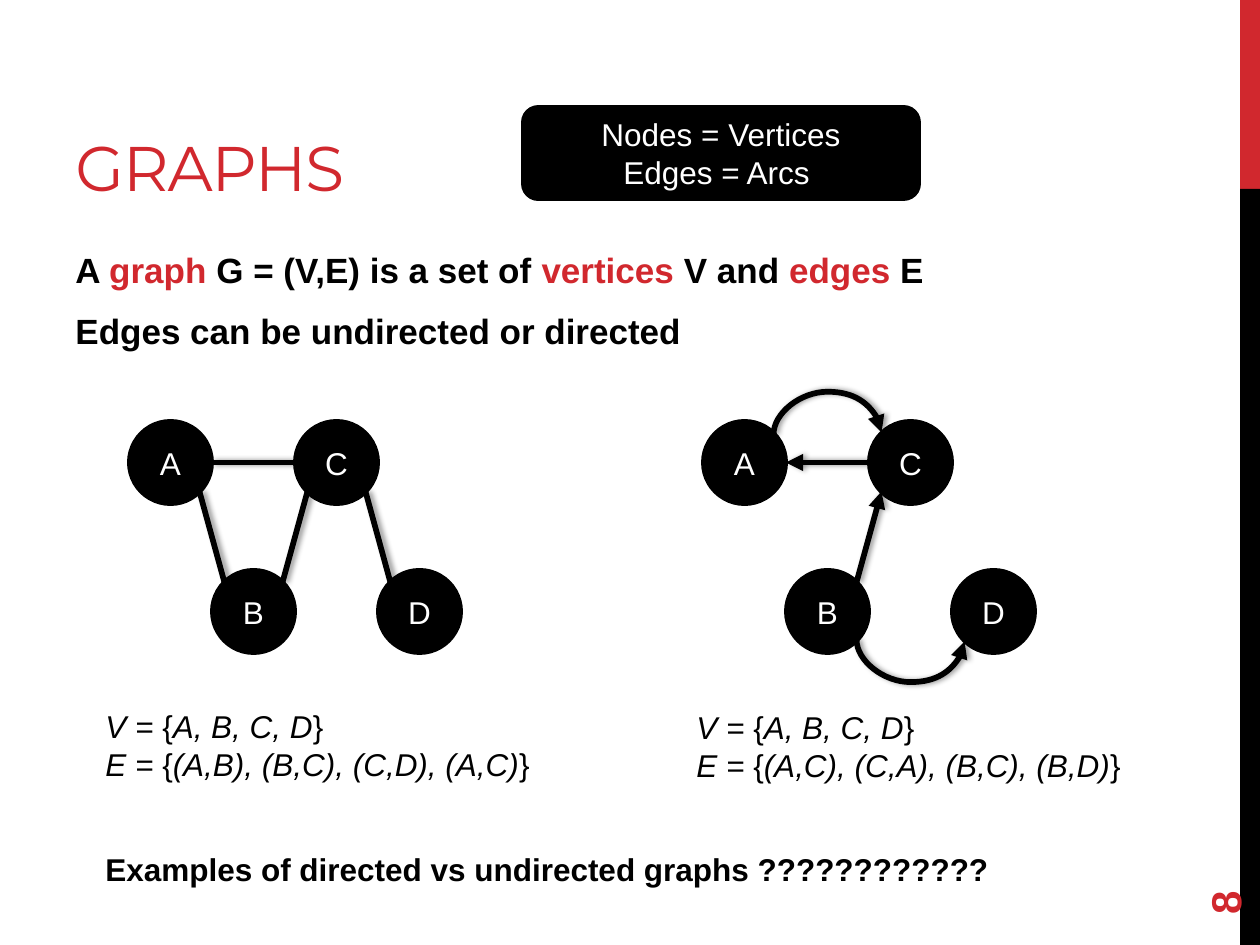
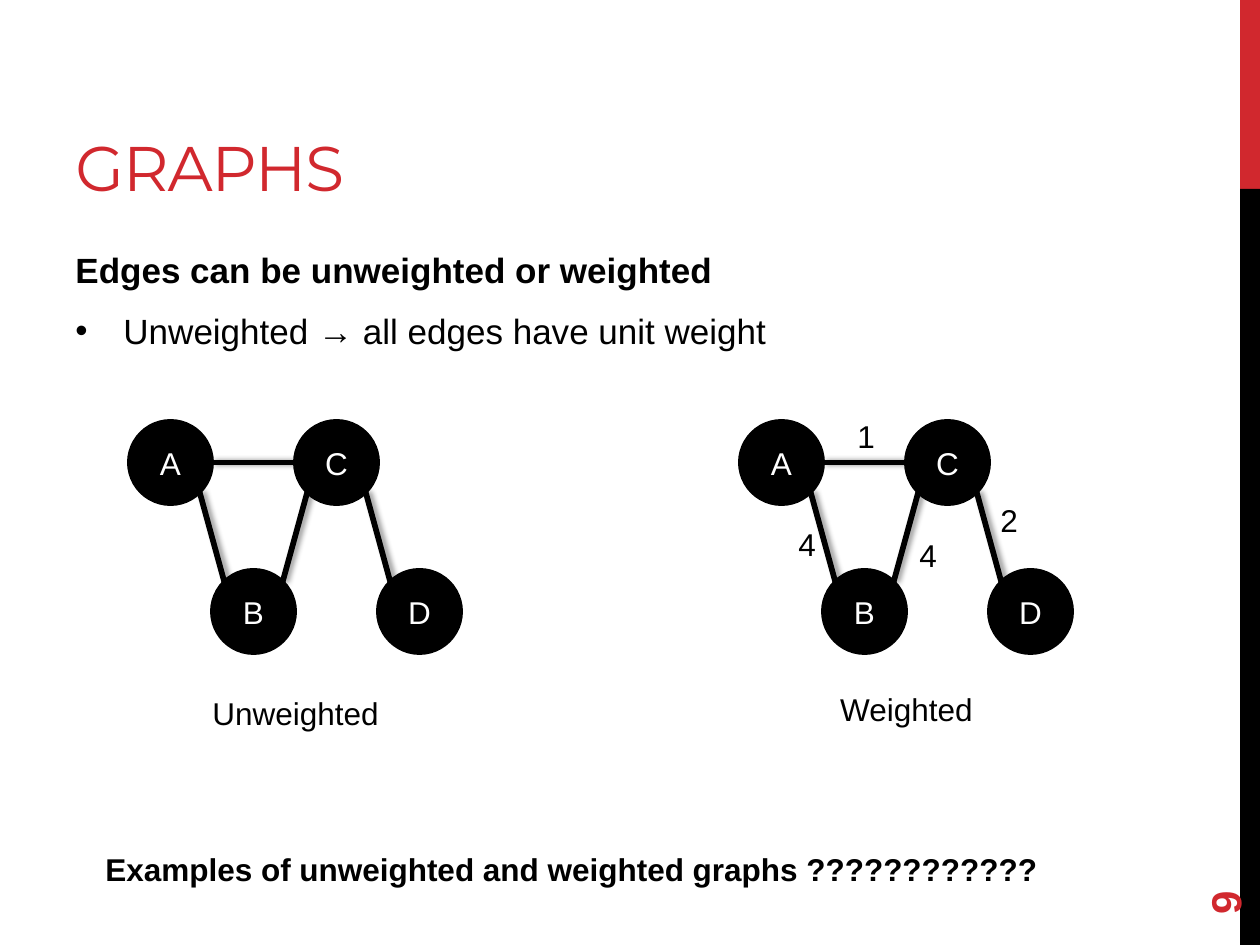
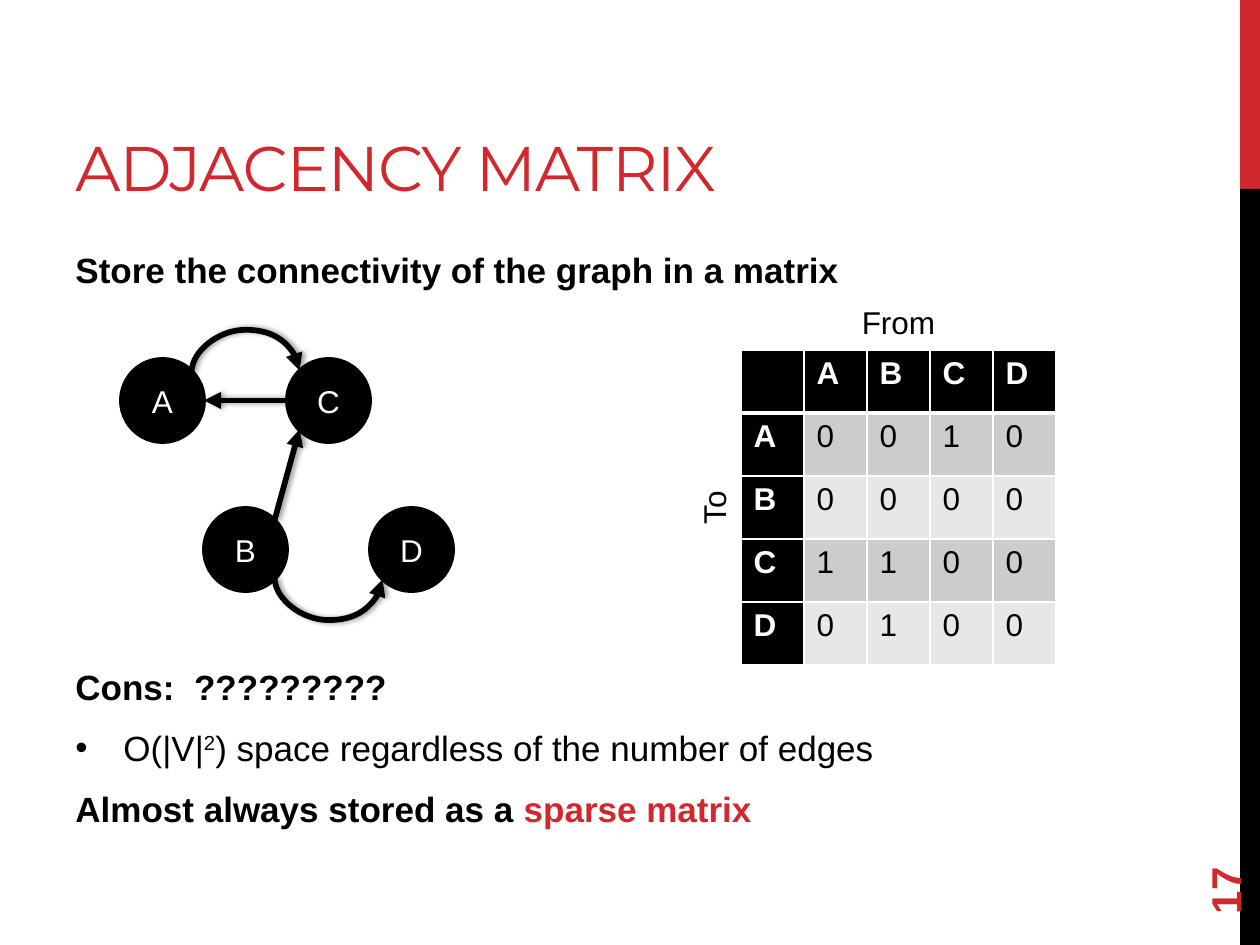
import pptx
import pptx.dml.color
import pptx.enum.shapes
import pptx.enum.text
import pptx.oxml
import pptx.oxml.ns
import pptx.util

Pt = pptx.util.Pt
qn = pptx.oxml.ns.qn
KIND = pptx.enum.shapes.MSO_SHAPE
LINK = pptx.enum.shapes.MSO_CONNECTOR
ALIGN = pptx.enum.text.PP_ALIGN
ANCHOR = pptx.enum.text.MSO_ANCHOR
NS = 'xmlns:a="http://schemas.openxmlformats.org/drawingml/2006/main"'

INK = {"red": "D1282E", "black": "000000", "white": "FFFFFF",
       "dark": "CCCCCC", "pale": "E7E7E7"}

# Content: a paragraph is a list of (text, marks)
# marks: b bold, i italic, r red, ^ superscript, * bullet on the paragraph
ASK = "????????????"


def sets(edges):
    return [[("V = ", "i"), ("{", ""), ("A, B, C, D", "i"), ("}", "")],
            [("E = ", "i"), ("{", ""), (edges, "i"), ("}", "")]]


PAGES = [
    {"title": "GRAPHS", "num": "8",
     "body": [(242, 602, [
         [("A ", "b"), ("graph", "br"), (" G = (V,E) is a set of ", "b"),
          ("vertices", "br"), (" V and ", "b"), ("edges", "br"), (" E", "b")],
         [("Edges can be undirected or directed", "b")]])],
     "graphs": [("plain", 129, 421), ("arrow", 703, 421)],
     "notes": [((93, 701, 655, 89), sets("(A,B), (B,C), (C,D), (A,C)")),
               ((684, 702, 655, 89), sets("(A,C), (C,A), (B,C), (B,D)"))],
     "ask": "Examples of directed vs undirected graphs " + ASK,
     "box": [[("Nodes = Vertices", "")], [("Edges = Arcs ", "")]]},
    {"title": "GRAPHS", "num": "9",
     "body": [(242, 602, [
         [("Edges can be unweighted or weighted", "b")],
         [("Unweighted → all edges have unit weight", "*")]])],
     "graphs": [("plain", 129, 421), ("plain", 740, 421)],
     "labels": [("Unweighted", 129, 688, 333, 0), ("Weighted", 740, 684, 333, 0),
                ("1", 845, 411, 37, 0), ("2", 988, 495, 37, 0),
                ("4", 907, 530, 37, 0), ("4", 786, 519, 37, 0)],
     "ask": "Examples of unweighted and weighted graphs " + ASK},
    {"title": "ADJACENCY MATRIX", "num": "17",
     "body": [
         (242, 60, [[("Store the connectivity of the graph in a matrix", "b")]]),
         (659, 185, [
             [("Cons:  ?????????", "b")],
             [("O(|V|", "*"), ("2", "^"),
              (") space regardless of the number of edges", "")],
             [("Almost always stored as a ", "b"), ("sparse matrix", "br")]])],
     "graphs": [("arrow", 121, 359)],
     "matrix": ["0010", "0000", "1100", "0100"],
     "labels": [("From", 741, 297, 315, 0), ("To", 556, 483, 315, -90)]},
]

# Graph layout: nodes sit on a grid of (column, row)
SIZE, ROW, DIAG = 83, 149, 29
SPOTS = {"C": (2, 0), "B": (1, 1), "D": (3, 1), "A": (0, 0)}
SITES = {"E": (SIZE / 2, 0), "W": (-SIZE / 2, 0), "NE": (DIAG, -DIAG),
         "NW": (-DIAG, -DIAG), "SE": (DIAG, DIAG), "SW": (-DIAG, DIAG)}
EDGES = {"plain": [("A", "E", "C", "W"), ("A", "SE", "B", "NW"),
                   ("B", "NE", "C", "SW"), ("D", "NW", "C", "SE")],
         "arrow": [("C", "W", "A", "E"), ("B", "NE", "C", "SW")]}
ARCS = {"plain": [], "arrow": [("A", "C", 1), ("B", "D", -1)]}  # 1 up, -1 down
BULGE = 43


def px(n):
    return round(n * 914400 / 126)


def tint(name):
    return pptx.dml.color.RGBColor.from_string(INK[name])


def node(text):
    return pptx.oxml.parse_xml(text)


# Text
def style(run, size, color, marks="", face="Arial"):
    font = run.font
    font.size, font.name = Pt(size), face
    font.bold, font.italic = "b" in marks, "i" in marks
    font.color.rgb = tint("red" if "r" in marks else color)
    if "^" in marks:
        font._element.set("baseline", "30000")


def write(frame, paras, size, color="black", align=ALIGN.LEFT, gap=False, face="Arial"):
    frame.word_wrap = True
    for i, runs in enumerate(paras):
        para = frame.paragraphs[0] if i == 0 else frame.add_paragraph()
        para.alignment = align
        if gap:
            para.space_after = Pt(6)
            if i:
                para.space_before = Pt(5)
        if "*" in runs[0][1]:
            prop = para._p.get_or_add_pPr()
            prop.set("marL", str(px(48)))
            prop.set("indent", str(px(-48)))
            prop.append(node(f'<a:buFont {NS} typeface="Arial"/>'))
            prop.append(node(f'<a:buChar {NS} char="•"/>'))
        for text, marks in runs:
            run = para.add_run()
            run.text = text
            style(run, size, color, marks, face)


def note(slide, box, paras, size=18, anchor=ANCHOR.TOP, turn=0, **look):
    item = slide.shapes.add_textbox(*map(px, box))
    item.rotation = turn
    item.text_frame.vertical_anchor = anchor
    write(item.text_frame, paras, size, **look)
    return item


# Shapes
def solid(shapes, kind, box, color="black", edge=True, paras=()):
    item = shapes.add_shape(kind, *map(px, box))
    item.shadow.inherit = False
    item.fill.solid()
    item.fill.fore_color.rgb = tint(color)
    if edge:
        item.line.color.rgb = tint(color)
        item.line.width = Pt(2.25)
    else:
        item.line.fill.background()
    item.text_frame.vertical_anchor = ANCHOR.MIDDLE
    write(item.text_frame, paras, 18, "white", ALIGN.CENTER)


def join(shapes, kind, ends, arrow):
    line = shapes.add_connector(kind, *map(px, ends))
    line.line.color.rgb = tint("black")
    line.line.width = Pt(3.25)
    if arrow:
        line.line._get_or_add_ln().append(node(f'<a:tailEnd {NS} type="triangle"/>'))
    line._element.spPr.append(node(
        f'<a:effectLst {NS}><a:outerShdw blurRad="40000" dist="23000" dir="0" '
        'rotWithShape="0"><a:srgbClr val="000000"><a:alpha val="40000"/>'
        '</a:srgbClr></a:outerShdw></a:effectLst>'))
    return line


def bend(shapes, start, end, side):
    """Curve between two nodes of one row: an upright connector, turned."""
    x, y = (start[0] + end[0]) / 2, start[1] - side * DIAG
    half = (end[0] - start[0]) / 2 - DIAG
    line = join(shapes, LINK.CURVE,
                (x + 1, y + side * half, x - 1, y - side * half), True)
    prop = line._element.spPr
    prop.find(qn("a:xfrm")).set("rot", str((180 - 90 * side) * 60000))
    geom = prop.find(qn("a:prstGeom"))
    for old in list(geom):
        geom.remove(old)
    geom.append(node(f'<a:avLst {NS}><a:gd name="adj1" '
                     f'fmla="val {BULGE * 50000}"/></a:avLst>'))


def graph(slide, kind, left, top):
    shapes = slide.shapes.add_group_shape().shapes
    mids = {}
    for name, (col, row) in SPOTS.items():
        x, y = left + col * SIZE, top + row * ROW
        mids[name] = (x + SIZE / 2, y + SIZE / 2)
        solid(shapes, KIND.OVAL, (x, y, SIZE, SIZE), paras=[[(name, "")]])
    for start, end, side in ARCS[kind]:
        bend(shapes, mids[start], mids[end], side)
    for start, out, end, into in EDGES[kind]:
        ends = [m + d for name, site in ((start, out), (end, into))
                for m, d in zip(mids[name], SITES[site])]
        join(shapes, LINK.STRAIGHT, ends, kind == "arrow")


# Table
def matrix(slide, rows):
    cells = [" ABCD"] + [name + row for name, row in zip("ABCD", rows)]
    count, step = len(cells), 63
    table = slide.shapes.add_table(
        count, count, px(741), px(350), px(step * count), px(step * count)).table
    for r, row in enumerate(cells):
        table.rows[r].height = table.columns[r].width = px(step)
        for c, text in enumerate(row):
            cell = table.cell(r, c)
            prop = cell._tc.get_or_add_tcPr()
            wide = {"L": 1, "R": 1, "T": 3 if r == 1 else 1, "B": 3 if r == 0 else 1}
            for side, width in wide.items():
                prop.append(node(
                    f'<a:ln{side} {NS} w="{Pt(width)}"><a:solidFill><a:srgbClr '
                    f'val="{INK["white"]}"/></a:solidFill></a:ln{side}>'))
            head = r == 0 or c == 0
            cell.fill.solid()
            cell.fill.fore_color.rgb = tint(
                "black" if head else "dark" if r % 2 else "pale")
            cell.text_frame.text = text.strip()
            for run in cell.text_frame.paragraphs[0].runs:
                style(run, 18, "white" if head else "black", "b" if head else "")


# Shared frame: side bands, title, page number
def frame(slide, page):
    solid(slide.shapes, KIND.RECTANGLE, (1240, 0, 20, 189), "red", False)
    solid(slide.shapes, KIND.RECTANGLE, (1240, 189, 20, 756), "black", False)
    title = note(slide, (63, 21, 798, 189), [[(page["title"], "r")]], 36,
                 ANCHOR.BOTTOM, face="Montserrat")
    title.text_frame.paragraphs[0].runs[0].font._element.set("spc", "-60")
    note(slide, (1134, 811, 181, 50), [[(page["num"], "br")]], 24,
         ANCHOR.MIDDLE, -90)


def main():
    deck = pptx.Presentation()
    deck.slide_width, deck.slide_height = px(1260), px(945)
    for page in PAGES:
        slide = deck.slides.add_slide(deck.slide_layouts[6])
        frame(slide, page)
        for top, high, paras in page["body"]:
            note(slide, (63, top, 1050, high), paras, 20, gap=True)
        for kind, left, top in page["graphs"]:
            graph(slide, kind, left, top)
        for box, paras in page.get("notes", []):
            note(slide, box, paras)
        if "matrix" in page:
            matrix(slide, page["matrix"])
        for text, left, top, wide, turn in page.get("labels", []):
            note(slide, (left, top, wide, 50), [[(text, "")]], turn=turn,
                 align=ALIGN.CENTER)
        if "ask" in page:
            note(slide, (93, 844, 1021, 50), [[(page["ask"], "b")]])
        if "box" in page:
            solid(slide.shapes, KIND.ROUNDED_RECTANGLE, (523, 107, 396, 92),
                  paras=page["box"])
    deck.save("out.pptx")


if __name__ == "__main__":
    main()
